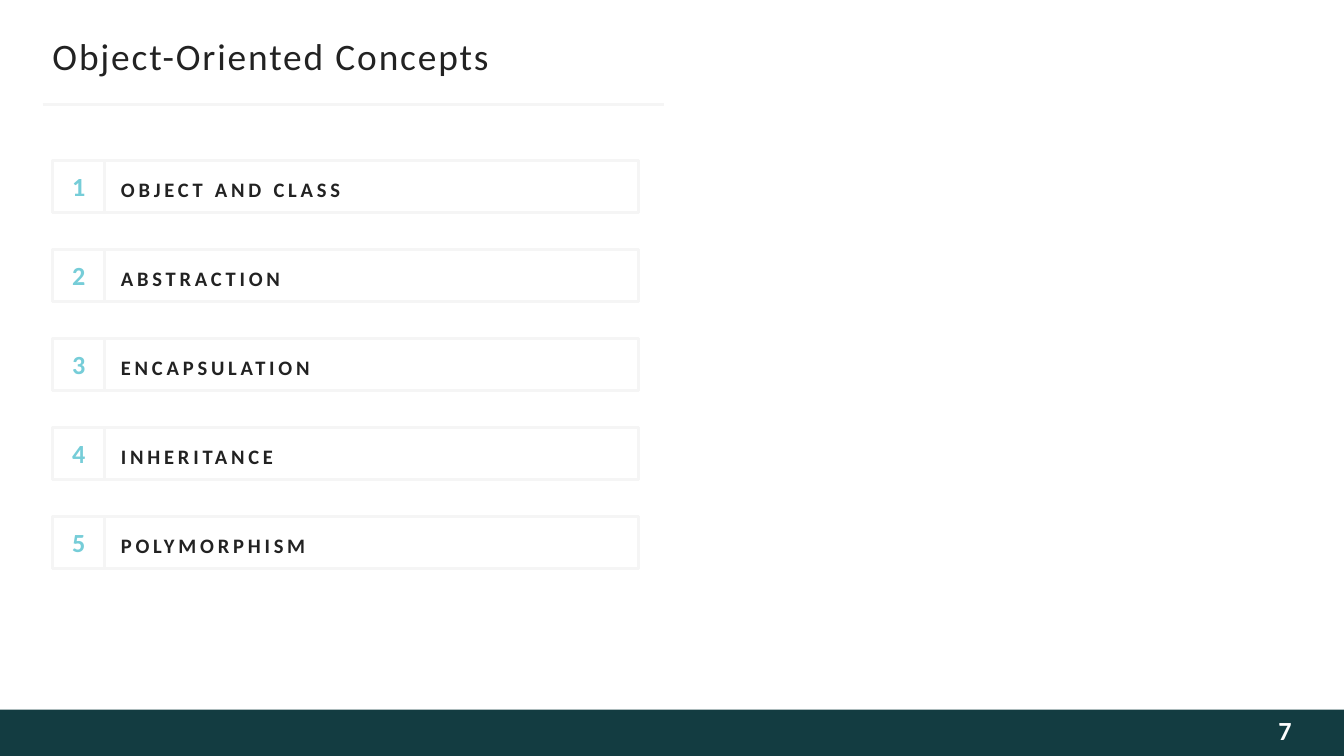
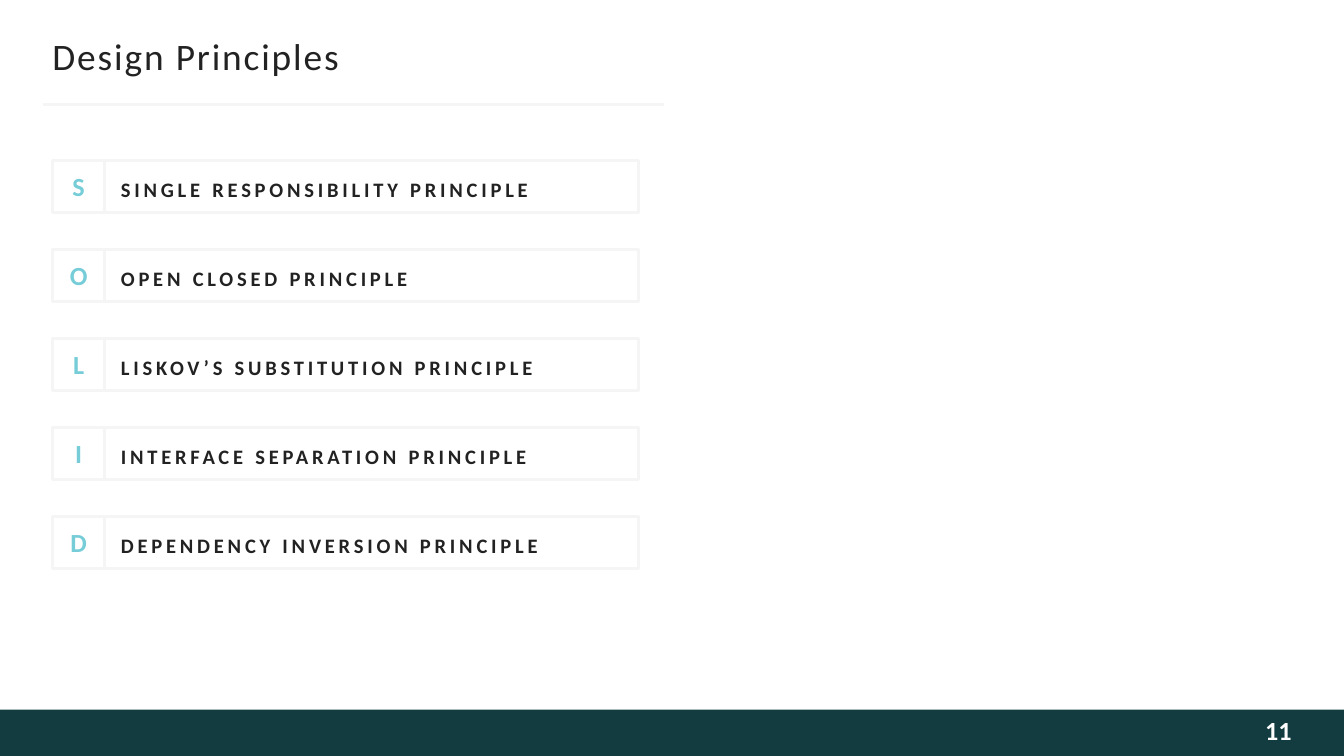
from lxml import etree
from pptx import Presentation
from pptx import util as u
from pptx.dml.color import RGBColor
from pptx.enum import shapes, text
from pptx.oxml.ns import qn

COLS, ROWS = 100, 56.25
HUES = {"band": "133C41", "rule": "F5F5F5", "ink": "222222", "mark": "76CDD8", "page": "FEFEFE"}
LEFT, SIDE, WIDE = 3.9, 3.9, 39.7
TOP, STEP = 11.94, 6.62
FOOT, TALL = 52.8, 3.45
STROKE = u.Pt(1.5)

ROW = {"line_spacing": u.Pt(16), "space_before": u.Pt(2.6), "space_after": u.Pt(3)}
STYLES = {
    "title": {"hue": "ink", "track": 100, "pad": (0, 0.5, 0, 0.5),
              "font": {"size": u.Pt(20)}, "para": {"alignment": text.PP_ALIGN.LEFT}},
    "mark": {"hue": "mark", "track": 0, "pad": (0, 0, 0, 0),
             "font": {"size": u.Pt(14), "bold": True},
             "para": {"alignment": text.PP_ALIGN.CENTER, **ROW}},
    "label": {"hue": "ink", "track": 200, "pad": (1.2, 0, 0, 0),
              "font": {"size": u.Pt(11), "bold": True},
              "para": {"alignment": text.PP_ALIGN.LEFT, **ROW}},
    "page": {"hue": "page", "track": 0, "pad": (1, 0.5, 0, 0.9),
             "font": {"size": u.Pt(14), "bold": True},
             "para": {"alignment": text.PP_ALIGN.RIGHT}},
}

SLIDES = [
    ("Object-Oriented Concepts", 7, [
        ("1", "OBJECT AND CLASS"),
        ("2", "ABSTRACTION"),
        ("3", "ENCAPSULATION"),
        ("4", "INHERITANCE"),
        ("5", "POLYMORPHISM"),
    ]),
    ("Design Principles", 11, [
        ("S", "SINGLE RESPONSIBILITY PRINCIPLE"),
        ("O", "OPEN CLOSED PRINCIPLE"),
        ("L", "LISKOV’S SUBSTITUTION PRINCIPLE"),
        ("I", "INTERFACE SEPARATION PRINCIPLE"),
        ("D", "DEPENDENCY INVERSION PRINCIPLE"),
    ]),
]


def apply(item, values):
    for name, value in values.items():
        setattr(item, name, value)


class Deck:
    def __init__(self):
        self.show = Presentation()
        apply(self.show, {"slide_width": u.Inches(10), "slide_height": u.Inches(5.625)})
        self.cell_w = self.show.slide_width / COLS
        self.cell_h = self.show.slide_height / ROWS

    def across(self, cols):
        return round(cols * self.cell_w)

    def down(self, rows):
        return round(rows * self.cell_h)

    def place(self, x, y, w, h):
        return self.across(x), self.down(y), self.across(w), self.down(h)

    def hue(self, name):
        return RGBColor.from_string(HUES[name])

    def page(self):
        self.slide = self.show.slides.add_slide(self.show.slide_layouts[6])

    def letter(self, shape, words, style):
        look = STYLES[style]
        left, top, right, base = look["pad"]
        frame = shape.text_frame
        apply(frame, {
            "margin_left": self.across(left), "margin_top": self.down(top),
            "margin_right": self.across(right), "margin_bottom": self.down(base),
            "vertical_anchor": text.MSO_ANCHOR.MIDDLE, "word_wrap": True,
        })
        para = frame.paragraphs[0]
        apply(para, look["para"])
        run = para.add_run()
        run.text = words
        apply(run.font, {"name": "Calibri", **look["font"]})
        run.font.color.rgb = self.hue(look["hue"])
        if look["track"]:
            run.font._element.set("spc", str(look["track"]))

    def label(self, words, style, *area):
        box = self.slide.shapes.add_textbox(*self.place(*area))
        self.letter(box, words, style)

    def rect(self, *area):
        box = self.slide.shapes.add_shape(shapes.MSO_SHAPE.RECTANGLE, *self.place(*area))
        box.shadow.inherit = False
        return box

    def band(self, *area):
        box = self.rect(*area)
        box.fill.solid()
        box.fill.fore_color.rgb = self.hue("band")
        box.line.fill.background()

    def frame(self, words, style, *area):
        box = self.rect(*area)
        box.fill.background()
        box.line.color.rgb = self.hue("rule")
        box.line.width = STROKE
        self.letter(box, words, style)

    def rule(self, x, y, end):
        line = self.slide.shapes.add_connector(
            shapes.MSO_CONNECTOR.STRAIGHT,
            self.across(x), self.down(y), self.across(end), self.down(y))
        line.line.color.rgb = self.hue("rule")
        line.line.width = STROKE
        etree.SubElement(line._element.spPr, qn("a:effectLst"))

    def build(self, title, number, items):
        self.page()
        self.band(0, FOOT, COLS, TALL)
        self.rule(3.2, 7.8, 49.4)
        self.label(title, "title", LEFT, 2.5, COLS - 2 * LEFT, 3.3)
        for i, (mark, words) in enumerate(items):
            y = TOP + i * STEP
            self.frame(mark, "mark", LEFT, y, SIDE, SIDE)
            self.frame(words, "label", LEFT + SIDE, y, WIDE, SIDE)
        self.label(str(number), "page", COLS - LEFT - 15, FOOT, 15, TALL)


def main():
    deck = Deck()
    for title, number, items in SLIDES:
        deck.build(title, number, items)
    deck.show.save("out.pptx")


if __name__ == "__main__":
    main()
